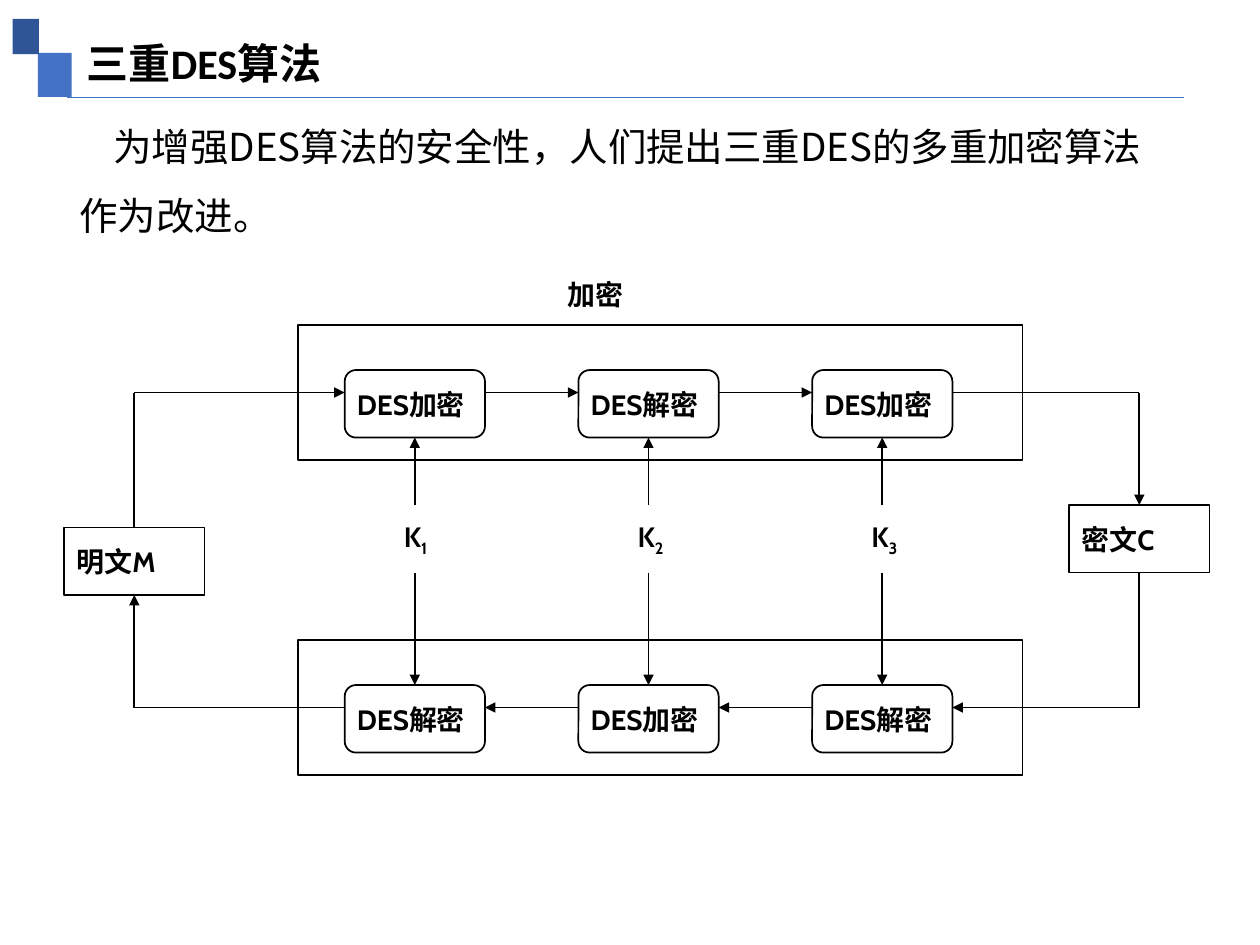
from dataclasses import dataclass

from lxml.etree import SubElement
from pptx import Presentation
from pptx.dml.color import RGBColor
from pptx.enum.shapes import MSO_CONNECTOR as Line, MSO_SHAPE as Shape
from pptx.enum.text import MSO_ANCHOR as Anchor, MSO_AUTO_SIZE as Fit, PP_ALIGN as Align
from pptx.oxml.ns import qn
from pptx.util import Inches, Pt


def rgb(hex_color):
    """Turn a hex string into a colour."""
    return RGBColor.from_string(hex_color)


@dataclass
class Grid:
    """Columns and rows counted from an origin in inches."""
    left: float
    top: float
    col: float
    row: float

    def point(self, x, y):
        """Return a grid point in slide units."""
        return Inches(self.left + x * self.col), Inches(self.top + y * self.row)

    def box(self, x, y, w, h):
        """Return left, top, width and height in slide units."""
        return *self.point(x, y), Inches(w * self.col), Inches(h * self.row)


PAGE = Grid(0, 0, 0.1, 0.1)
FLOW = Grid(0.51, 2.58, 5.75 / 31, 2.5 / 14)


class Deck:
    """Holds the style and the current slide."""
    ink, paper, blue, navy = "000000", "FFFFFF", "4472C4", "2F5597"
    cjk, label_font, title_font = "Noto Sans CJK SC", "Cabin", "Calibri"

    def __init__(self):
        """Open a 4:3 presentation with one title and content slide."""
        self.prs = Presentation()
        self.prs.slide_width, self.prs.slide_height = Inches(10), Inches(7.5)
        self.s = self.prs.slides.add_slide(self.prs.slide_layouts[1])

    def style(self, p, font, size, bold, align):
        """Format the runs of a paragraph."""
        p.alignment = align
        for r in p.runs:
            r.font.name, r.font.size, r.font.bold = font, Pt(size), bold
            r.font.color.rgb = rgb(self.ink)
            SubElement(r._r.get_or_add_rPr(), qn("a:ea"), typeface=self.cjk)

    def placeholder(self, idx, box, text, font, size, bold, spacing=1, indent=0):
        """Place and fill a placeholder of the layout."""
        sp = self.s.placeholders[idx]
        sp.left, sp.top, sp.width, sp.height = PAGE.box(*box)
        tf = sp.text_frame
        tf.text, tf.auto_size, tf.vertical_anchor = text, Fit.NONE, Anchor.TOP
        p = tf.paragraphs[0]
        p.line_spacing, p.space_before = spacing, Pt(0)
        pPr = p._p.get_or_add_pPr()
        pPr.set("marL", "0")
        pPr.set("indent", str(Inches(indent)))
        SubElement(pPr, qn("a:buNone"))
        self.style(p, font, size, bold, Align.LEFT)

    def block(self, box, color):
        """Add a plain filled block."""
        sp = self.s.shapes.add_shape(Shape.RECTANGLE, *PAGE.box(*box))
        sp.shadow.inherit = False
        sp.fill.solid()
        sp.fill.fore_color.rgb = rgb(color)
        sp.line.fill.background()

    def node(self, box, text="", kind=Shape.RECTANGLE):
        """Add an outlined box with an optional label."""
        sp = self.s.shapes.add_shape(kind, *FLOW.box(*box))
        sp.shadow.inherit = False
        sp.fill.solid()
        sp.fill.fore_color.rgb = rgb(self.paper)
        sp.line.color.rgb, sp.line.width = rgb(self.ink), Pt(1)
        if text:
            self.caption(sp.text_frame, text)
        return sp

    def caption(self, tf, text, subscript=""):
        """Put a diagram label into a text frame."""
        tf.word_wrap, tf.vertical_anchor = True, Anchor.MIDDLE
        p = tf.paragraphs[0]
        p.text = text
        if subscript:
            r = p.add_run()
            r.text = subscript
            r._r.get_or_add_rPr().set("baseline", "-25000")
        self.style(p, self.label_font, 16, True, Align.JUSTIFY)

    def step(self, x, y, text):
        """Add a rounded cipher step."""
        sp = self.node((x, y, 6, 3), text, Shape.FLOWCHART_ALTERNATE_PROCESS)
        sp.text_frame.margin_left, sp.text_frame.margin_right = Inches(0.07), 0

    def label(self, box, text, subscript=""):
        """Add a free label."""
        sp = self.s.shapes.add_textbox(*FLOW.box(*box))
        self.caption(sp.text_frame, text, subscript)

    def line(self, start, end, arrow=False, grid=FLOW, color=ink, width=1):
        """Add a straight line, with an arrowhead at its end if asked."""
        sp = self.s.shapes.add_connector(
            Line.STRAIGHT, *grid.point(*start), *grid.point(*end))
        sp.line.color.rgb, sp.line.width = rgb(color), Pt(width)
        spPr = sp._element.spPr
        if arrow:
            SubElement(spPr.find(qn("a:ln")), qn("a:tailEnd"), type="triangle")
        SubElement(spPr, qn("a:effectLst"))

    def route(self, *points):
        """Join points with lines, the last one ending in an arrowhead."""
        for i, (a, b) in enumerate(zip(points, points[1:]), 2):
            self.line(a, b, arrow=i == len(points))


def main():
    """Build the triple DES slide."""
    d = Deck()
    d.block((3, 4.2, 2.7, 3.5), d.blue)
    d.block((1, 1.5, 2.1, 2.8), d.navy)
    d.placeholder(0, (5.9, 2.5, 88.6, 5), "三重DES算法", d.title_font, 24, True)
    d.line((5.3, 7.7), (94, 7.7), grid=PAGE, color=d.blue, width=0.5)
    d.placeholder(1, (5.3, 7.4, 87.4, 11.2),
                  "为增强DES算法的安全性，人们提出三重DES的多重加密算法作为改进。",
                  d.cjk, 22, False, spacing=1.5, indent=0.27)

    columns = (12, 22, 32)
    for top, names in ((0, "加解加"), (14, "解加解")):
        d.node((10, top, 31, 6))
        for x, name in zip(columns, names):
            d.step(x, top + 2, f"DES{name}密")
    d.node((0, 9, 6, 3), "明文M")
    d.node((43, 8, 6, 3), "密文C")

    for x in columns[:-1]:
        d.route((x + 6, 3), (x + 10, 3))
        d.route((x + 10, 17), (x + 6, 17))
    d.route((3, 9), (3, 3), (12, 3))
    d.route((38, 3), (46, 3), (46, 8))
    d.route((46, 11), (46, 17), (38, 17))
    d.route((12, 17), (3, 17), (3, 12))

    for n, x in enumerate(columns, 1):
        d.route((x + 3, 8), (x + 3, 5))
        d.label((x + 2, 8, 2.86, 3), "K", str(n))
        d.route((x + 3, 11), (x + 3, 16))
    d.label((21, -2.85, 3.93, 3), "加密")
    d.prs.save("out.pptx")


if __name__ == "__main__":
    main()
